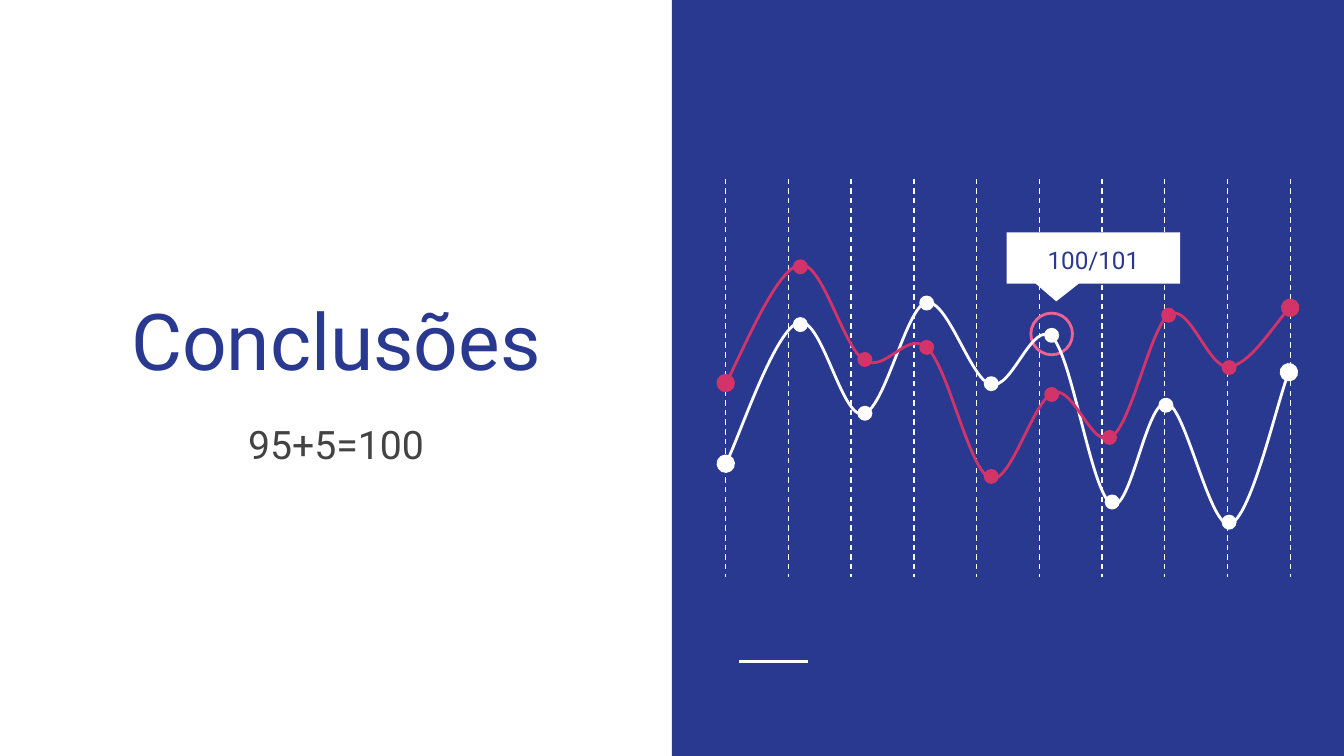
from dataclasses import dataclass

from lxml.etree import SubElement
from pptx import Presentation
from pptx.dml.color import RGBColor
from pptx.enum.dml import MSO_LINE
from pptx.enum.shapes import MSO_CONNECTOR, MSO_SHAPE
from pptx.enum.text import MSO_ANCHOR, PP_ALIGN
from pptx.oxml.ns import qn
from pptx.util import Inches, Pt


@dataclass(frozen=True)
class Theme:
    """Colours, font and type sizes of the slide."""
    blue: RGBColor = RGBColor(0x2A, 0x39, 0x90)
    white: RGBColor = RGBColor(0xFF, 0xFF, 0xFF)
    crimson: RGBColor = RGBColor(0xD2, 0x33, 0x69)
    pink: RGBColor = RGBColor(0xF0, 0x62, 0x92)
    grey: RGBColor = RGBColor(0x43, 0x43, 0x43)
    font: str = "Roboto"
    title: int = 42
    subtitle: int = 21
    label: int = 13
    stroke: float = 1.5
    grid_stroke: float = 0.75


THEME = Theme()
TITLE, SUBTITLE, LABEL = "Conclusões", "95+5=100", "100/101"

SLIDE_WIDTH = 10
SLIDE_HEIGHT = SLIDE_WIDTH * 9 / 16
GRID_LEFT, GRID_RIGHT, GRID_TOP, GRID_BOTTOM, GRID_COUNT = 5.4, 9.6, 1.33, 4.29, 10
DOT = 0.09
CALLOUT = (7.49, 1.73, 1.29, 0.38)

# A curve is a start, then (control, control, end) for each segment.
# Dots are given by their top left corners.
WHITE_SERIES = {
    "color": THEME.white,
    "start": (5.4, 3.45),
    "segments": [
        ((5.49, 3.28), (5.77, 2.46), (5.94, 2.4)),
        ((6.11, 2.34), (6.26, 3.11), (6.42, 3.08)),
        ((6.58, 3.06), (6.74, 2.29), (6.89, 2.25)),
        ((7.05, 2.22), (7.22, 2.82), (7.37, 2.86)),
        ((7.53, 2.91), (7.68, 2.37), (7.83, 2.51)),
        ((7.98, 2.66), (8.12, 3.67), (8.27, 3.75)),
        ((8.41, 3.83), (8.53, 2.97), (8.68, 3)),
        ((8.82, 3.02), (9, 3.93), (9.15, 3.9)),
        ((9.3, 3.86), (9.51, 2.96), (9.59, 2.77)),
    ],
    "dots": [(9.1, 3.84), (8.63, 2.97), (8.23, 3.69), (7.78, 2.45),
             (7.33, 2.81), (6.85, 2.21), (6.39, 3.03), (5.91, 2.37)],
}
CRIMSON_SERIES = {
    "color": THEME.crimson,
    "start": (5.4, 2.85),
    "segments": [
        ((5.49, 2.7), (5.78, 2), (5.95, 1.97)),
        ((6.12, 1.94), (6.27, 2.58), (6.43, 2.68)),
        ((6.59, 2.78), (6.75, 2.45), (6.9, 2.59)),
        ((7.06, 2.74), (7.21, 3.5), (7.37, 3.56)),
        ((7.52, 3.61), (7.69, 2.97), (7.84, 2.92)),
        ((7.99, 2.87), (8.13, 3.35), (8.27, 3.25)),
        ((8.42, 3.16), (8.56, 2.43), (8.7, 2.34)),
        ((8.85, 2.25), (8.99, 2.74), (9.14, 2.73)),
        ((9.29, 2.72), (9.52, 2.36), (9.6, 2.29)),
    ],
    "dots": [(5.91, 1.94), (6.39, 2.63), (6.85, 2.54), (7.33, 3.5),
             (7.78, 2.89), (8.21, 3.21), (8.65, 2.3), (9.1, 2.69)],
}


def paint(shape, fill=None, line=None):
    """Set fill and outline, leaving out whichever is None."""
    shape.shadow.inherit = False
    if fill is None:
        shape.fill.background()
    else:
        shape.fill.solid()
        shape.fill.fore_color.rgb = fill
    if line is None:
        shape.line.fill.background()
    else:
        shape.line.color.rgb = line
        shape.line.width = Pt(THEME.stroke)


def add_preset(shapes, preset, box, fill=None, line=None):
    """Add a preset shape at a box given in inches."""
    shape = shapes.add_shape(preset, *map(Inches, box))
    paint(shape, fill, line)
    return shape


def add_rule(shapes, start, end, width, dash=None):
    """Add a straight white line."""
    rule = shapes.add_connector(MSO_CONNECTOR.STRAIGHT, *map(Inches, start + end))
    rule.line.color.rgb = THEME.white
    rule.line.width = Pt(width)
    if dash:
        rule.line.dash_style = dash
    SubElement(rule._element.spPr, qn("a:effectLst"))


def add_text(shapes, text, box, size, color, anchor, spacing=None):
    """Add one centred paragraph in a wrapping text box."""
    frame = shapes.add_textbox(*map(Inches, box)).text_frame
    frame.word_wrap = True
    frame.vertical_anchor = anchor
    frame.margin_left = frame.margin_right = Inches(0.1)
    frame.margin_top = frame.margin_bottom = Inches(0.1)
    paragraph = frame.paragraphs[0]
    paragraph.text = text
    paragraph.alignment = PP_ALIGN.CENTER
    paragraph.line_spacing = spacing
    paragraph.font.name = THEME.font
    paragraph.font.size = Pt(size)
    paragraph.font.color.rgb = color


def add_curve(shapes, color, start, segments):
    """Add an open Bezier curve with round ends."""
    builder = shapes.build_freeform(*map(Inches, start))
    builder.add_line_segments([tuple(map(Inches, s[-1])) for s in segments], close=False)
    curve = builder.convert_to_shape()
    paint(curve, line=color)
    outline = next(curve._element.iter(qn("a:path")))
    for straight, segment in zip(outline.findall(qn("a:lnTo")), segments):
        outline.remove(straight)
        bend = SubElement(outline, qn("a:cubicBezTo"))
        for x, y in segment:
            SubElement(bend, qn("a:pt"), x=str(Inches(x) - curve.left),
                       y=str(Inches(y) - curve.top))
    stroke = curve._element.spPr.find(qn("a:ln"))
    for end in ("a:headEnd", "a:tailEnd"):
        SubElement(stroke, qn(end), type="oval", w="lg", len="lg")


def add_series(shapes, color, start, segments, dots):
    """Add a curve and the dots along it."""
    add_curve(shapes, color, start, segments)
    for corner in dots:
        add_preset(shapes, MSO_SHAPE.OVAL, corner + (DOT, DOT), color, color)


def add_callout(shapes):
    """Add the white bubble that holds the label."""
    bubble = add_preset(shapes, MSO_SHAPE.ROUNDED_RECTANGULAR_CALLOUT, CALLOUT, THEME.white)
    for index, value in enumerate((-0.214, 0.85, 0)):
        bubble.adjustments[index] = value


def build():
    """Build the slide and save it."""
    deck = Presentation()
    deck.slide_width, deck.slide_height = Inches(SLIDE_WIDTH), Inches(SLIDE_HEIGHT)
    shapes = deck.slides.add_slide(deck.slide_layouts[6]).shapes

    half = SLIDE_WIDTH / 2
    add_preset(shapes, MSO_SHAPE.RECTANGLE, (half, 0, half, SLIDE_HEIGHT), THEME.blue)
    add_rule(shapes, (5.5, 4.92), (6.01, 4.92), THEME.stroke)
    gap = (GRID_RIGHT - GRID_LEFT) / (GRID_COUNT - 1)
    for index in range(GRID_COUNT):
        x = GRID_LEFT + index * gap
        add_rule(shapes, (x, GRID_TOP), (x, GRID_BOTTOM), THEME.grid_stroke, MSO_LINE.DASH)
    add_preset(shapes, MSO_SHAPE.OVAL, (7.67, 2.33, 0.31, 0.31), line=THEME.pink)

    add_text(shapes, TITLE, (0.29, 1.26, 4.42, 1.71), THEME.title, THEME.blue,
             MSO_ANCHOR.BOTTOM)
    add_text(shapes, SUBTITLE, (0.29, 3.03, 4.42, 1.39), THEME.subtitle, THEME.grey,
             MSO_ANCHOR.TOP)
    add_series(shapes, **WHITE_SERIES)
    add_callout(shapes)
    add_series(shapes, **CRIMSON_SERIES)
    add_text(shapes, LABEL, (7.49, 1.76, 1.29, 0.31), THEME.label, THEME.blue,
             MSO_ANCHOR.MIDDLE, 1.15)
    deck.save("out.pptx")


build()
